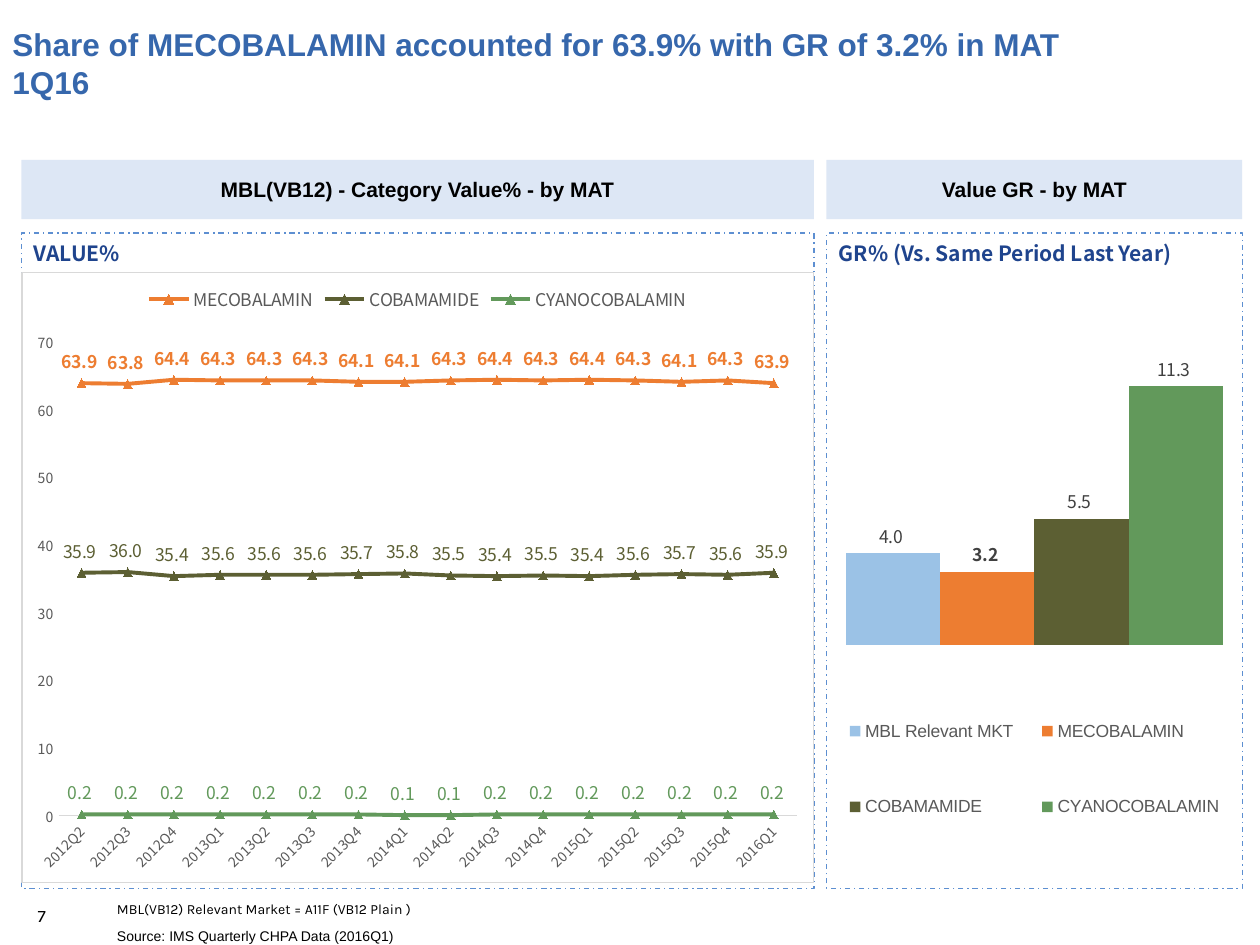
from dataclasses import dataclass

import pptx
import pptx.chart.data
import pptx.dml.color
import pptx.enum.chart
import pptx.enum.dml
import pptx.enum.shapes
import pptx.enum.text
import pptx.oxml
import pptx.util
from pptx.util import Inches

COLORS = {
    "title": "3667AC", "heading": "1F448D", "black": "000000",
    "band": "ABC5E7", "frame": "5D8FD1", "rule": "D9D9D9",
    "axis_text": "595959", "label": "404040",
    "market": "9BC2E6", "mecobalamin": "ED7D31",
    "cobamamide": "5C5F33", "cyanocobalamin": "62995B",
}
CJK = "Noto Sans CJK SC"
NS = ('xmlns:c="http://schemas.openxmlformats.org/drawingml/2006/chart" '
      'xmlns:a="http://schemas.openxmlformats.org/drawingml/2006/main"')
ANCHOR = pptx.enum.text.MSO_ANCHOR
CHART = pptx.enum.chart
CHART_HEIGHT = 4.85
Box = tuple[float, float, float, float]


@dataclass
class Label:
    text: str
    box: Box
    size: float
    color: str = "black"
    font: str = "Arial"
    bold: bool = False
    anchor: ANCHOR = ANCHOR.TOP


@dataclass
class Panel:
    left: float
    width: float
    header: str
    heading: str
    heading_width: float


@dataclass
class Series:
    name: str
    color: str
    values: list[float]
    bold: bool = False


PANELS = [
    Panel(0.17, 6.29, "MBL(VB12) - Category Value% - by MAT", "VALUE%", 1.62),
    Panel(6.56, 3.3, "Value GR - by MAT", "GR% (Vs. Same Period Last Year)", 3.3),
]
LABELS = [
    Label("7", (0.2, 7.13, 0.63, 0.27), 10, font="Karla", anchor=ANCHOR.MIDDLE),
    Label("Share of MECOBALAMIN accounted for 63.9% with GR of 3.2% in MAT 1Q16",
          (0, 0, 8.91, 1), 18, "title", bold=True, anchor=ANCHOR.MIDDLE),
    Label("MBL(VB12) Relevant Market = A11F (VB12 Plain )",
          (0.83, 7.12, 8.32, 0.18), 8, font="Karla", anchor=ANCHOR.MIDDLE),
    Label("Source: IMS Quarterly CHPA Data (2016Q1)", (0.83, 7.31, 8.32, 0.24), 8),
]
QUARTERS = [f"{2012 + i // 4}Q{i % 4 + 1}" for i in range(1, 17)]
SHARES = [
    Series("MECOBALAMIN", "mecobalamin",
           [63.9, 63.8, 64.4, 64.3, 64.3, 64.3, 64.1, 64.1,
            64.3, 64.4, 64.3, 64.4, 64.3, 64.1, 64.3, 63.9], True),
    Series("COBAMAMIDE", "cobamamide",
           [35.9, 36, 35.4, 35.6, 35.6, 35.6, 35.7, 35.8,
            35.5, 35.4, 35.5, 35.4, 35.6, 35.7, 35.6, 35.9]),
    Series("CYANOCOBALAMIN", "cyanocobalamin", [0.2] * 7 + [0.1] * 2 + [0.2] * 7),
]
GROWTH = [
    Series("MBL Relevant MKT", "market", [4]),
    Series("MECOBALAMIN", "mecobalamin", [3.2], True),
    Series("COBAMAMIDE", "cobamamide", [5.5]),
    Series("CYANOCOBALAMIN", "cyanocobalamin", [11.3]),
]


def rgb(name: str) -> pptx.dml.color.RGBColor:
    return pptx.dml.color.RGBColor.from_string(COLORS[name])


def style(font, size: float, color: str, name: str = CJK, bold: bool = False) -> None:
    font.size, font.name, font.bold = pptx.util.Pt(size), name, bold
    font.color.rgb = rgb(color)


def paint(fmt, color: str) -> None:
    fmt.fill.solid()
    fmt.fill.fore_color.rgb = rgb(color)


def add_label(slide, label: Label) -> None:
    tf = slide.shapes.add_textbox(*map(Inches, label.box)).text_frame
    tf.word_wrap = True
    tf.vertical_anchor = label.anchor
    tf.text = label.text
    style(tf.paragraphs[0].runs[0].font, label.size, label.color, label.font, label.bold)


def add_rect(slide, left: float, top: float, width: float, height: float):
    sp = slide.shapes.add_shape(pptx.enum.shapes.MSO_SHAPE.RECTANGLE,
                                *map(Inches, (left, top, width, height)))
    sp.shadow.inherit = False
    return sp


def add_panel(slide, panel: Panel) -> None:
    # Translucent header band
    sp = add_rect(slide, panel.left, 1.27, panel.width, 0.47)
    paint(sp, "band")
    sp.line.fill.background()
    shade = sp.fill._xPr.find(".//" + pptx.oxml.ns.qn("a:srgbClr"))
    shade.append(pptx.oxml.parse_xml(f'<a:alpha {NS} val="40000"/>'))
    tf = sp.text_frame
    tf.text = panel.header
    tf.word_wrap = False
    tf.vertical_anchor = ANCHOR.MIDDLE
    p = tf.paragraphs[0]
    p.alignment = pptx.enum.text.PP_ALIGN.CENTER
    style(p.runs[0].font, 12, "black", "Arial", True)

    # Heading and dashed frame
    add_label(slide, Label(panel.heading, (panel.left, 1.86, panel.heading_width, 0.3),
                           12, "heading", CJK, True))
    frame = add_rect(slide, panel.left, 1.85, panel.width, 5.2)
    frame.fill.background()
    frame.line.color.rgb = rgb("frame")
    frame.line.width = pptx.util.Pt(0.75)
    frame.line.dash_style = pptx.enum.dml.MSO_LINE.DASH_DOT


def set_layout(element, panel: Panel, box: Box, inner: bool) -> None:
    """Place a chart part; box is in inches within the chart."""
    for old in element.findall(pptx.oxml.ns.qn("c:layout")):
        element.remove(old)
    target = '<c:layoutTarget val="inner"/>' if inner else ""
    modes = "".join(f'<c:{k}Mode val="edge"/>' for k in "xy")
    extents = (panel.width, CHART_HEIGHT) * 2
    sizes = "".join(f'<c:{k} val="{v / e}"/>' for k, v, e in zip("xywh", box, extents))
    layout = pptx.oxml.parse_xml(f"<c:layout {NS}><c:manualLayout>{target}{modes}{sizes}"
                                 "</c:manualLayout></c:layout>")
    # In a legend, the layout follows the position
    element.insert(0 if inner else 1, layout)


def add_chart(slide, panel: Panel, kind, cats: list[str], series: list[Series],
              plot_box: Box, top_value: float, legend_font: str, legend_pos, label_pos):
    data = pptx.chart.data.CategoryChartData()
    data.categories = cats
    for s in series:
        data.add_series(s.name, s.values)
    box = map(Inches, (panel.left, 2.16, panel.width, CHART_HEIGHT))
    chart = slide.shapes.add_chart(kind, *box, data).chart
    style(chart.font, 10, "black")
    chart.has_title = False
    chart.has_legend = True
    chart.legend.position = legend_pos
    chart.legend.include_in_layout = False
    style(chart.legend.font, 10, "axis_text", legend_font)
    chart.plots[0].vary_by_categories = False
    chart.value_axis.minimum_scale = 0
    chart.value_axis.maximum_scale = top_value
    chart.value_axis.has_major_gridlines = False
    set_layout(chart._chartSpace.chart.plotArea, panel, plot_box, True)
    is_line = kind == CHART.XL_CHART_TYPE.LINE_MARKERS
    for s, plotted in zip(series, chart.plots[0].series):
        labels = plotted.data_labels
        labels.show_value = True
        labels.position = label_pos
        labels.number_format = "#,##0.0_ "
        labels.number_format_is_linked = False
        style(labels.font, 10, s.color if is_line else "label", CJK, s.bold)
    return chart


def set_border(chart, line: str) -> None:
    chart._chartSpace.chart.addnext(pptx.oxml.parse_xml(
        f'<c:spPr {NS}><a:noFill/><a:ln w="9525">{line}</a:ln></c:spPr>'))


def add_share_chart(slide, panel: Panel) -> None:
    chart = add_chart(slide, panel, CHART.XL_CHART_TYPE.LINE_MARKERS, QUARTERS, SHARES,
                      (0.29, 0.55, 5.87, 3.77), 70, CJK,
                      CHART.XL_LEGEND_POSITION.TOP, CHART.XL_LABEL_POSITION.ABOVE)
    set_border(chart, f'<a:solidFill><a:srgbClr val="{COLORS["rule"]}"/></a:solidFill>')
    for s, plotted in zip(SHARES, chart.plots[0].series):
        plotted.smooth = False
        plotted.format.line.color.rgb = rgb(s.color)
        plotted.format.line.width = pptx.util.Pt(2.25)
        plotted.marker.style = CHART.XL_MARKER_STYLE.TRIANGLE
        plotted.marker.size = 5
        paint(plotted.marker.format, s.color)
        plotted.marker.format.line.color.rgb = rgb(s.color)
    for axis in (chart.category_axis, chart.value_axis):
        axis.major_tick_mark = CHART.XL_TICK_MARK.NONE
        style(axis.tick_labels.font, 8, "axis_text")
    chart.category_axis.format.line.color.rgb = rgb("rule")
    chart.category_axis.format.line.width = pptx.util.Pt(0.75)
    chart.category_axis._element.txPr.bodyPr.set("rot", "-2700000")
    chart.value_axis.format.line.fill.background()
    chart.value_axis.major_unit = 10
    chart.value_axis.tick_labels.number_format = "#,##0"
    chart.value_axis.tick_labels.number_format_is_linked = False


def add_growth_chart(slide, panel: Panel) -> None:
    chart = add_chart(slide, panel, CHART.XL_CHART_TYPE.COLUMN_CLUSTERED, ["1"], GROWTH,
                      (0.15, 0.78, 3, 2.18), 12, "Arial",
                      CHART.XL_LEGEND_POSITION.BOTTOM, CHART.XL_LABEL_POSITION.OUTSIDE_END)
    set_border(chart, "<a:noFill/>")
    set_layout(chart.legend._element, panel, (0, 3.12, 3.3, 1.65), False)
    chart.plots[0].gap_width = 1
    chart.plots[0].overlap = 0
    chart.category_axis.visible = chart.value_axis.visible = False
    for s, plotted in zip(GROWTH, chart.plots[0].series):
        paint(plotted.format, s.color)


def main() -> None:
    prs = pptx.Presentation()
    prs.slide_width, prs.slide_height = Inches(10), Inches(7.5)
    slide = prs.slides.add_slide(prs.slide_layouts[6])
    for label in LABELS:
        add_label(slide, label)
    for panel in PANELS:
        add_panel(slide, panel)
    add_growth_chart(slide, PANELS[1])
    add_share_chart(slide, PANELS[0])
    prs.save("out.pptx")


if __name__ == "__main__":
    main()
